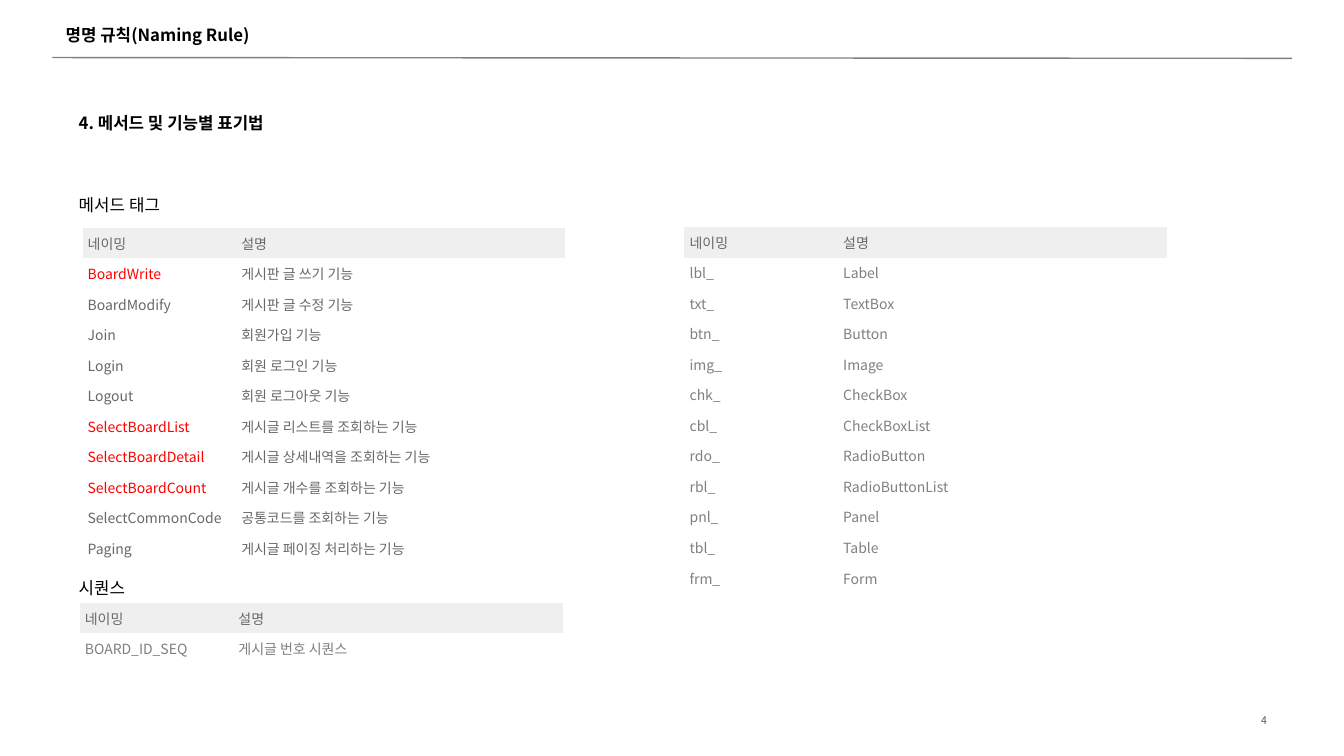
from lxml import etree
from pptx import Presentation
from pptx.dml.color import RGBColor
from pptx.enum.shapes import MSO_CONNECTOR
from pptx.enum.text import MSO_ANCHOR, MSO_AUTO_SIZE, PP_ALIGN
from pptx.oxml.ns import qn
from pptx.util import Cm, Pt

MIDDLE, TOP = MSO_ANCHOR.MIDDLE, MSO_ANCHOR.TOP
LEFT, RIGHT = PP_ALIGN.LEFT, PP_ALIGN.RIGHT
NO_AUTOSIZE = MSO_AUTO_SIZE.NONE
STRAIGHT = MSO_CONNECTOR.STRAIGHT

THEME = {
    "font": "Noto Sans CJK KR",
    "black": RGBColor(0x00, 0x00, 0x00),
    "dark": RGBColor(0x59, 0x59, 0x59),
    "text": RGBColor(0x68, 0x68, 0x68),
    "muted": RGBColor(0x80, 0x80, 0x80),
    "accent": RGBColor(0xFF, 0x00, 0x00),
    "header": RGBColor(0xEF, 0xEF, 0xEF),
    "white": RGBColor(0xFF, 0xFF, 0xFF),
    "heading_size": Pt(12),
    "table_size": Pt(10),
    "page_size": Pt(7.5),
}
PLAIN_TABLE_STYLE = "{2D5ABB26-0587-4C30-8999-92F81FD0307C}"
COLUMN_WIDTHS = (Cm(3.87), Cm(8.3))
ROW_HEIGHT = Cm(0.69)
CELL_FORMAT = {
    "margin_left": Cm(0.13), "margin_right": Cm(0.13),
    "margin_top": Cm(0.13), "margin_bottom": Cm(0.13),
    "vertical_anchor": MIDDLE,
}


def write(paragraph, text, size, color, bold=False):
    """Add one run, with the font set for Latin and Korean letters."""
    run = paragraph.add_run()
    run.text = text
    font_format = {"name": THEME["font"], "size": THEME[size], "bold": bold}
    for name, value in font_format.items():
        setattr(run.font, name, value)
    run.font.color.rgb = THEME[color]
    properties = run.font._element
    east_asian = etree.Element(qn("a:ea"), typeface=THEME["font"])
    properties.find(qn("a:latin")).addnext(east_asian)


def place(shape, left, top, width, height, anchor):
    """Position a text shape and prepare its frame."""
    bounds = {"left": left, "top": top, "width": width, "height": height}
    for name, value in bounds.items():
        setattr(shape, name, Cm(value))
    frame_format = {"word_wrap": True, "auto_size": NO_AUTOSIZE,
                    "vertical_anchor": anchor}
    for name, value in frame_format.items():
        setattr(shape.text_frame, name, value)
    return shape.text_frame


presentation = Presentation()
presentation.slide_width = Cm(33.87)
presentation.slide_height = Cm(19.05)
slide = presentation.slides.add_slide(presentation.slide_layouts[1])

# Title and rule
title_frame = place(slide.shapes.title, 1.4, 0.41, 30.86, 0.91, MIDDLE)
title_frame.paragraphs[0].alignment = LEFT
write(title_frame.paragraphs[0], "명명 규칙(Naming Rule)", "heading_size", "black", True)

rule = slide.shapes.add_connector(STRAIGHT, Cm(1.32), Cm(1.45), Cm(32.56), Cm(1.47))
rule.line.color.rgb = THEME["muted"]
rule.line.width = Pt(1)
etree.SubElement(rule._element.spPr, qn("a:effectLst"))

# Section heading and table captions: text, space before, bold
headings = [
    ("4. 메서드 및 기능별 표기법", 0, True),
    ("메서드\t태그", 44, False),
    ("시퀀스", 259.5, False),
]
body_frame = place(slide.placeholders[1], 1.73, 2.72, 31.19, 14.1, TOP)
for index, (text, space_before, bold) in enumerate(headings):
    paragraph = body_frame.add_paragraph() if index else body_frame.paragraphs[0]
    paragraph.space_before = Pt(space_before)
    write(paragraph, text, "heading_size", "black", bold)
    properties = paragraph._p.get_or_add_pPr()
    properties.set("marL", "0")
    properties.set("indent", "0")
    etree.SubElement(properties, qn("a:buNone"))
    tab_stops = etree.SubElement(properties, qn("a:tabLst"))
    etree.SubElement(tab_stops, qn("a:tab"), pos=str(Cm(15.24)), algn="l")

# Naming tables: left, top, text colour, rows
header = ("네이밍", "설명")
methods = [
    ("BoardWrite", "게시판 글 쓰기 기능"),
    ("BoardModify", "게시판 글 수정 기능"),
    ("Join", "회원가입 기능"),
    ("Login", "회원 로그인 기능"),
    ("Logout", "회원 로그아웃 기능"),
    ("SelectBoardList", "게시글 리스트를 조회하는 기능"),
    ("SelectBoardDetail", "게시글 상세내역을 조회하는 기능"),
    ("SelectBoardCount", "게시글 개수를 조회하는 기능"),
    ("SelectCommonCode", "공통코드를 조회하는 기능"),
    ("Paging", "게시글 페이징 처리하는 기능"),
]
highlighted = {"BoardWrite", "SelectBoardList", "SelectBoardDetail", "SelectBoardCount"}
tags = [
    ("lbl_", "Label"), ("txt_", "TextBox"), ("btn_", "Button"),
    ("img_", "Image"), ("chk_", "CheckBox"), ("cbl_", "CheckBoxList"),
    ("rdo_", "RadioButton"), ("rbl_", "RadioButtonList"), ("pnl_", "Panel"),
    ("tbl_", "Table"), ("frm_", "Form"),
]
sequences = [("BOARD_ID_SEQ", "게시글 번호 시퀀스")]
naming_tables = [
    (2.08, 5.74, "text", methods),
    (17.25, 5.72, "muted", tags),
    (2.01, 15.19, "muted", sequences),
]
for left, top, text_color, entries in naming_tables:
    rows = [header] + entries
    graphic_frame = slide.shapes.add_table(
        len(rows), len(header), Cm(left), Cm(top),
        sum(COLUMN_WIDTHS), ROW_HEIGHT * len(rows))
    table = graphic_frame.table
    table.first_row = table.horz_banding = False
    table._tbl.tblPr.find(qn("a:tableStyleId")).text = PLAIN_TABLE_STYLE
    for column, width in zip(table.columns, COLUMN_WIDTHS):
        column.width = width
    for row_index, row in enumerate(rows):
        table.rows[row_index].height = ROW_HEIGHT
        for column_index, text in enumerate(row):
            cell = table.cell(row_index, column_index)
            for name, value in CELL_FORMAT.items():
                setattr(cell, name, value)
            cell.fill.solid()
            cell.fill.fore_color.rgb = THEME["white" if row_index else "header"]
            color = text_color if row_index else "text"
            if text in highlighted:
                color = "accent"
            write(cell.text_frame.paragraphs[0], text, "table_size", color)

# Page number
page_box = slide.shapes.add_textbox(0, 0, 0, 0)
page_frame = place(page_box, 24.28, 17.65, 7.9, 1.02, MIDDLE)
page_frame.paragraphs[0].alignment = RIGHT
write(page_frame.paragraphs[0], "4", "page_size", "dark")

presentation.save("out.pptx")
